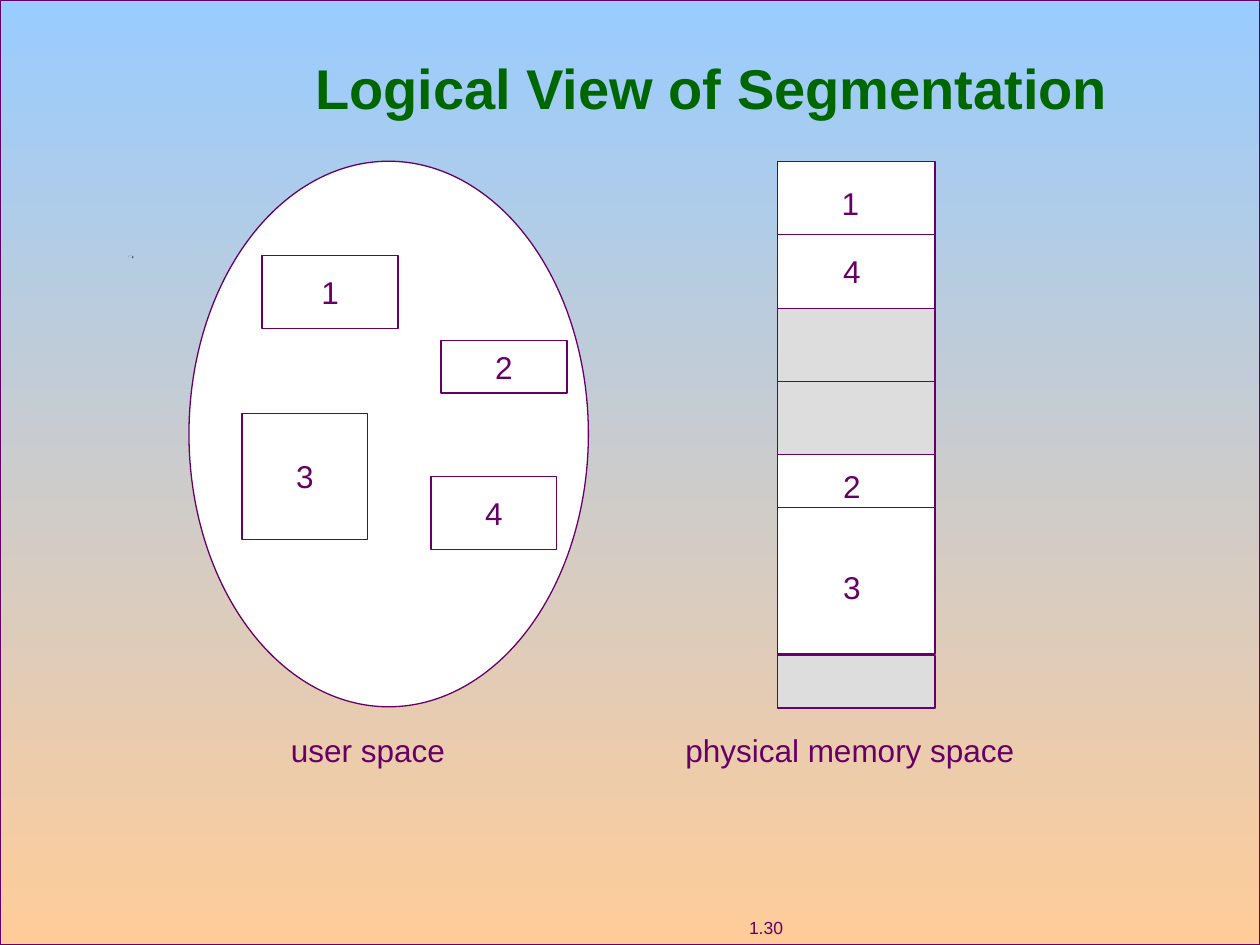
from dataclasses import dataclass

from lxml import etree
from pptx import Presentation
from pptx import util as u
from pptx.dml.color import RGBColor
from pptx.enum import shapes, text
from pptx.oxml import ns


@dataclass(frozen=True)
class Theme:
    font: str = "Arial"
    ink: str = "660066"
    head: str = "006600"
    sky: str = "99CCFF"
    sand: str = "FFCC99"
    white: str = "FFFFFF"
    gray: str = "DDDDDD"
    navy: str = "284C70"
    mist: str = "BFCCD8"
    title: int = 32
    body: int = 18
    small: int = 10
    rule: float = 0.75


@dataclass(frozen=True)
class Box:
    left: float
    top: float
    width: float
    height: float
    label: str = ""
    fill: str = ""


@dataclass(frozen=True)
class Speck:
    fill: str
    dots: tuple[tuple[float, float], ...]


THEME = Theme()
COL_X, COL_W = 6.17, 1.25

SEGMENTS = [
    Box(2.08, 2.03, 1.08, 0.58, "1"),
    Box(1.92, 3.28, 1, 1, "3"),
    Box(3.5, 2.7, 1, 0.42, "2"),
    Box(3.42, 3.78, 1, 0.58, "4"),
]
BLOCKS = [
    Box(COL_X, 1.28, COL_W, 1.17, fill=THEME.white),
    Box(COL_X, 2.45, COL_W, 1.17, fill=THEME.gray),
    Box(COL_X, 3.61, COL_W, 1.58, fill=THEME.white),
    Box(COL_X, 5.2, COL_W, 0.42, fill=THEME.gray),
]
SPLITS = [1.86, 3.03, 4.03]
LABELS = [
    Box(6.58, 1.41, 0.34, 0.4, "1"),
    Box(6.59, 1.95, 0.34, 0.4, "4"),
    Box(6.59, 3.66, 0.34, 0.4, "2"),
    Box(6.59, 4.46, 0.34, 0.4, "3"),
    Box(2.21, 5.75, 1.49, 0.4, "user space "),
    Box(5.34, 5.75, 2.81, 0.4, "physical memory space"),
]
SPECKS = [
    Speck(THEME.navy, ((1.03, 2.04), (1.05, 2.05), (1.06, 2.04),
                       (1.05, 2.03), (1.02, 2.03), (1.02, 2.04))),
    Speck(THEME.mist, ((1.04, 2.03), (1.02, 2.03), (1.02, 2.04),
                       (1.04, 2.05), (1.05, 2.04), (1.05, 2.03))),
    Speck(THEME.mist, ((1.66, 2.02), (1.64, 2.02), (1.63, 2.01),
                       (1.64, 1.99), (1.66, 1.99), (1.67, 2.01))),
]


def rgb(code: str) -> RGBColor:
    return RGBColor.from_string(code)


def area(box: Box) -> list[u.Inches]:
    return [u.Inches(n) for n in (box.left, box.top, box.width, box.height)]


def stroke(shape) -> None:
    shape.line.color.rgb = rgb(THEME.ink)
    shape.line.width = u.Pt(THEME.rule)


def write(shape, label: str, size: int, color: str, bold: bool = False) -> None:
    frame = shape.text_frame
    frame.word_wrap = False
    frame.vertical_anchor = text.MSO_ANCHOR.MIDDLE
    para = frame.paragraphs[0]
    para.text = label
    para.alignment = text.PP_ALIGN.CENTER
    font = para.font
    font.name, font.size, font.bold = THEME.font, u.Pt(size), bold
    font.color.rgb = rgb(color)


def draw_shape(slide, box: Box, kind=shapes.MSO_SHAPE.RECTANGLE):
    shape = slide.shapes.add_shape(kind, *area(box))
    shape.shadow.inherit = False
    shape.fill.solid()
    shape.fill.fore_color.rgb = rgb(box.fill or THEME.white)
    stroke(shape)
    if box.label:
        write(shape, box.label, THEME.body, THEME.ink)
    return shape


def draw_text(slide, box: Box, size: int = THEME.body,
              color: str = THEME.ink, bold: bool = False) -> None:
    write(slide.shapes.add_textbox(*area(box)), box.label, size, color, bold)


def draw_split(slide, top: float) -> None:
    line = slide.shapes.add_connector(
        shapes.MSO_CONNECTOR.STRAIGHT, u.Inches(COL_X), u.Inches(top),
        u.Inches(COL_X + COL_W), u.Inches(top))
    stroke(line)
    etree.SubElement(line._element.spPr, ns.qn("a:effectLst"))


def draw_speck(slide, speck: Speck) -> None:
    dots = [(u.Inches(x), u.Inches(y)) for x, y in speck.dots]
    pen = slide.shapes.build_freeform(*dots[0])
    pen.add_line_segments(dots[1:], close=True)
    shape = pen.convert_to_shape()
    shape.shadow.inherit = False
    shape.fill.solid()
    shape.fill.fore_color.rgb = rgb(speck.fill)
    shape.line.fill.background()


def draw_back(slide) -> None:
    fill = draw_shape(slide, Box(0, 0, 10, 7.5)).fill
    fill.gradient()
    fill.gradient_angle = 270
    for stop, color in zip(fill.gradient_stops, (THEME.sky, THEME.sand)):
        stop.color.rgb = rgb(color)


def main() -> None:
    deck = Presentation()
    deck.slide_width, deck.slide_height = u.Inches(10), u.Inches(7.5)
    slide = deck.slides.add_slide(deck.slide_layouts[6])

    draw_back(slide)
    draw_text(slide, Box(5.61, 7.23, 0.94, 0.27, "1.30"), THEME.small)
    for speck in SPECKS:
        draw_speck(slide, speck)
    draw_text(slide, Box(1.4, 0.23, 8.5, 0.92, "Logical View of Segmentation"),
              THEME.title, THEME.head, True)

    draw_shape(slide, Box(1.5, 1.28, 3.17, 4.33), shapes.MSO_SHAPE.OVAL)
    for box in SEGMENTS + BLOCKS:
        draw_shape(slide, box)
    for top in SPLITS:
        draw_split(slide, top)
    for box in LABELS:
        draw_text(slide, box)

    deck.save("out.pptx")


if __name__ == "__main__":
    main()
